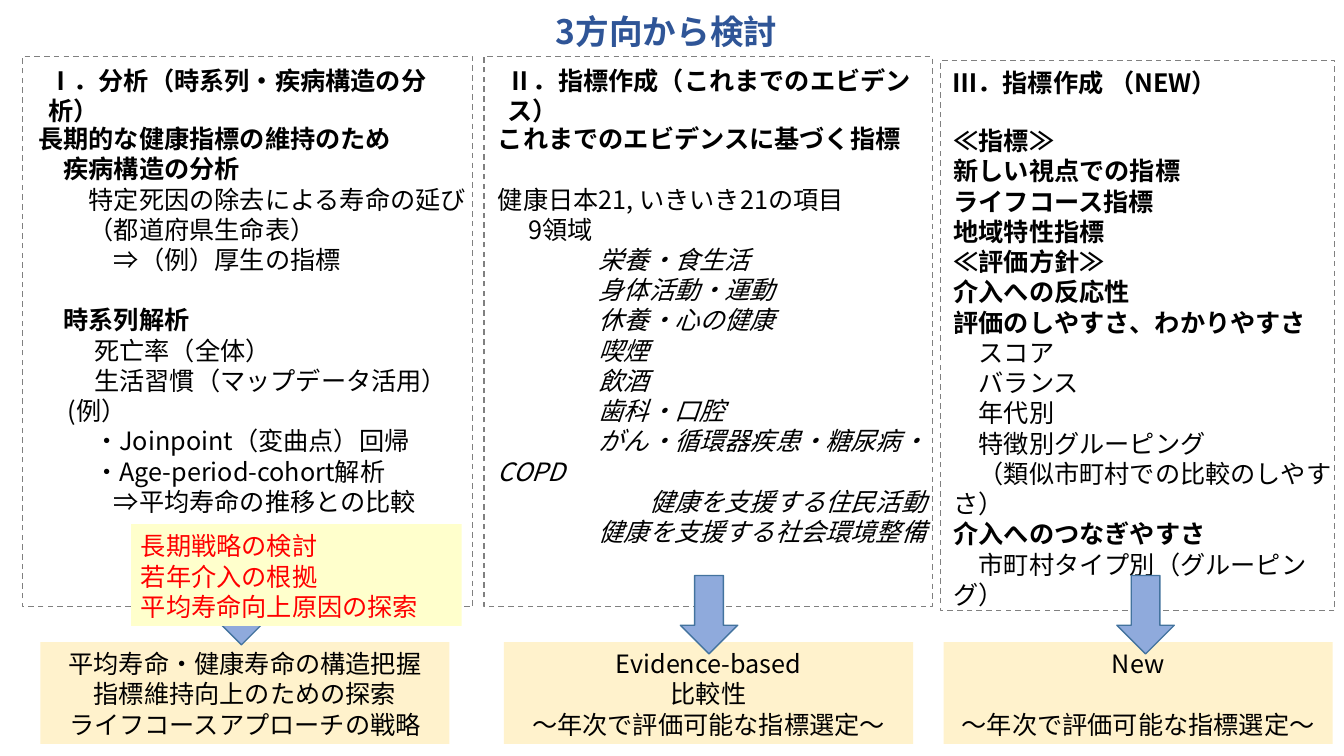
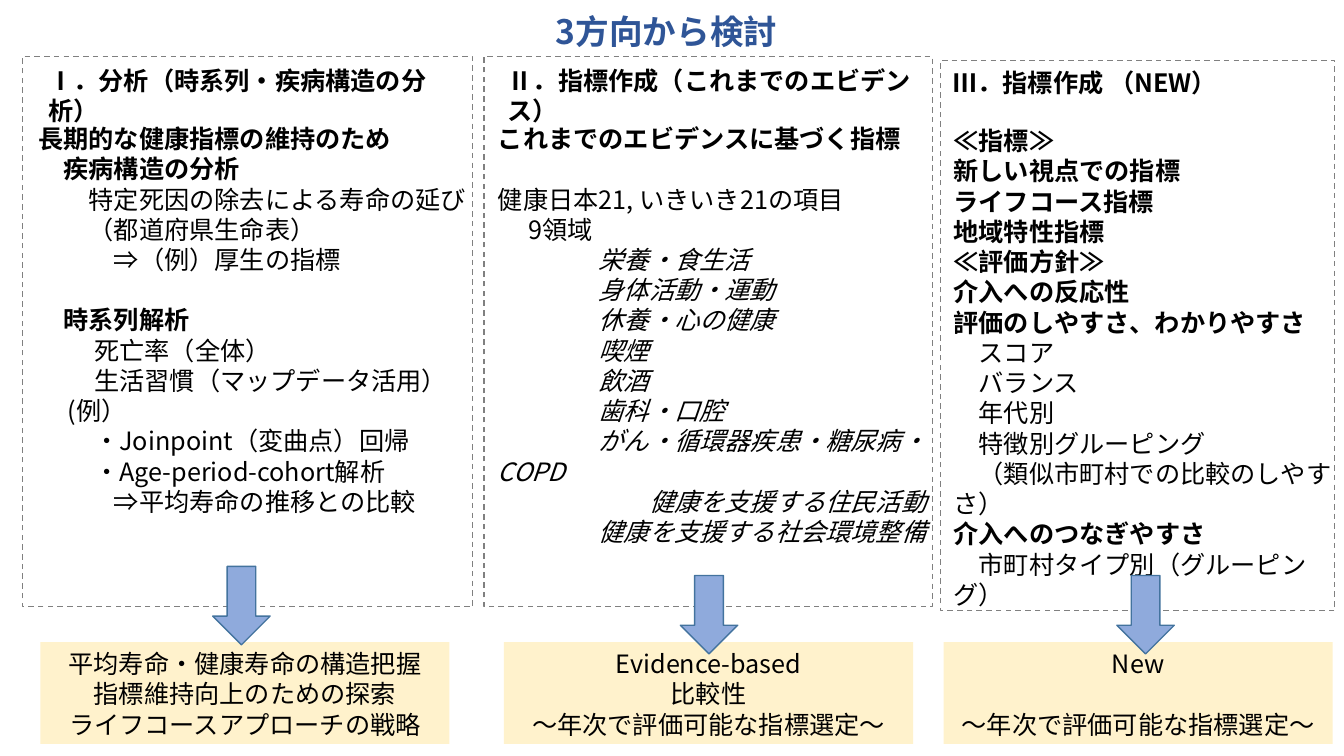
from dataclasses import dataclass

from lxml import etree
from pptx import Presentation
from pptx.dml.color import RGBColor
from pptx.enum import dml, shapes, text
from pptx.oxml import ns
from pptx.util import Pt

FONT = "Noto Sans CJK JP"
BLACK, RED, NAVY = "000000", "FF0000", "2F5597"
CARD, NOTE, DASH = "FFF2CC", "FFFFCC", "808080"
ARROW, ARROW_EDGE = "8FAADC", "43739E"
SIZE, TITLE_SIZE, LEADING = 18, 24, 1.2
LINE = SIZE * LEADING
CARD_TOP, CARD_H = 458.6, 72.7
ARROW_W, ARROW_H = 41, 56


@dataclass
class Line:
    text: str
    indent: float = 0
    bold: bool = False
    italic: bool = False
    gap: float = 0


@dataclass
class Column:
    box: tuple       # left, top, width, height
    heading: str
    heading_at: tuple  # dx, dy, width
    body: list
    body_at: tuple   # dx, dy, width
    card: list
    card_at: tuple   # dx, width
    arrow_at: tuple  # dx, dy


def bold(label, indent=0, gap=0):
    return Line(label, indent, bold=True, gap=gap)


def italic(label, indent=72):
    return Line(label, indent, italic=True)


COLUMNS = [
    Column(
        (16, 40.3, 321.8, 393),
        "Ⅰ．分析（時系列・疾病構造の分析）", (11.4, 1.5, 298),
        [
            bold("長期的な健康指標の維持のため"),
            bold("疾病構造の分析", 18),
            Line("特定死因の除去による寿命の延び", 36),
            Line("（都道府県生命表）", 36),
            Line("⇒（例）厚生の指標", 54),
            bold("時系列解析", 18, LINE),
            Line("死亡率（全体）", 40),
            Line("生活習慣（マップデータ活用）", 40),
            Line("(例）", 21),
            Line("・Joinpoint（変曲点）回帰", 40),
            Line("・Age-period-cohort解析", 40),
            Line("⇒平均寿命の推移との比較", 54),
        ], (4.2, 43.2, 324.7),
        [Line("平均寿命・健康寿命の構造把握"), Line("指標維持向上のための探索"),
         Line("ライフコースアプローチの戦略")], (12.8, 292.3),
        (136, 364.3)),
    Column(
        (345.6, 40.3, 320.4, 393),
        "Ⅱ．指標作成（これまでのエビデンス）", (10, 1.5, 308),
        [
            bold("これまでのエビデンスに基づく指標"),
            Line("健康日本21, いきいき21の項目", gap=LINE),
            Line("9領域", 22),
            *map(italic, ["栄養・食生活", "身体活動・運動", "休養・心の健康",
                          "喫煙", "飲酒", "歯科・口腔",
                          "がん・循環器疾患・糖尿病・COPD"]),
            italic("健康を支援する住民活動", 108),
            italic("健康を支援する社会環境整備"),
        ], (2.9, 43.2, 324.7),
        [Line("Evidence-based"), Line("比較性"),
         Line("～年次で評価可能な指標選定～")], (14.4, 292.3),
        (140.4, 370.8)),
    Column(
        (671.8, 43.2, 281.5, 393),
        "Ⅲ．指標作成 （NEW）", (1.4, 0, 287.3),
        [
            *map(bold, ["≪指標≫", "新しい視点での指標", "ライフコース指標",
                        "地域特性指標", "≪評価方針≫", "介入への反応性",
                        "評価のしやすさ、わかりやすさ"]),
            *[Line(label, 18) for label in
              ["スコア", "バランス", "年代別", "特徴別グルーピング",
               "（類似市町村での比較のしやすさ）"]],
            bold("介入へのつなぎやすさ"),
            Line("市町村タイプ別（グルーピング）", 18),
        ], (2.2, 41.8, 298),
        [Line("New"), Line("～年次で評価可能な指標選定～", gap=LINE)], (2.2, 278),
        (126, 367.9)),
]
NOTES = [Line("長期戦略の検討"), Line("若年介入の根拠"), Line("平均寿命向上原因の探索")]


def rgb(value):
    return RGBColor.from_string(value)


def write(sp, lines, color=BLACK, size=SIZE, align=text.PP_ALIGN.LEFT):
    tf = sp.text_frame
    tf.word_wrap = True
    tf.vertical_anchor = text.MSO_ANCHOR.TOP
    tf.margin_left = tf.margin_right = Pt(7.2)
    tf.margin_top = tf.margin_bottom = Pt(4.6)
    for i, line in enumerate(lines):
        p = tf.add_paragraph() if i else tf.paragraphs[0]
        p.alignment = align
        p.line_spacing = Pt(size * LEADING)
        p.space_before = Pt(line.gap)
        pPr = p._p.get_or_add_pPr()
        pPr.set("marL", "0")
        pPr.set("indent", str(Pt(line.indent)))
        r = p.add_run()
        r.text = line.text
        r.font.size = Pt(size)
        r.font.bold, r.font.italic = line.bold, line.italic
        r.font.color.rgb = rgb(color)
        r.font.name = FONT
        ea = etree.SubElement(r._r.get_or_add_rPr(), ns.qn("a:ea"))
        ea.set("typeface", FONT)


def add_text(s, x, y, w, h, lines, **style):
    sp = s.shapes.add_textbox(Pt(x), Pt(y), Pt(w), Pt(h))
    write(sp, lines, **style)


def add_box(s, x, y, w, h, fill=None, line=None, kind=shapes.MSO_SHAPE.RECTANGLE):
    sp = s.shapes.add_shape(kind, Pt(x), Pt(y), Pt(w), Pt(h))
    sp.shadow.inherit = False
    if fill:
        sp.fill.solid()
        sp.fill.fore_color.rgb = rgb(fill)
    else:
        sp.fill.background()
    if line:
        sp.line.color.rgb = rgb(line)
        sp.line.width = Pt(1)
    else:
        sp.line.fill.background()
    return sp


def add_column(s, col):
    x, y, w, h = col.box
    # Dashed frame
    frame = add_box(s, x, y, w, h, line=DASH)
    frame.line.dash_style = dml.MSO_LINE.DASH
    # Heading and body
    dx, dy, width = col.heading_at
    add_text(s, x + dx, y + dy, width, 29, [bold(col.heading)])
    dx, dy, width = col.body_at
    add_text(s, x + dx, y + dy, width, 334, col.body)
    # Result card and the arrow to it
    dx, width = col.card_at
    card = add_box(s, x + dx, CARD_TOP, width, CARD_H, fill=CARD)
    write(card, col.card, align=text.PP_ALIGN.CENTER)
    dx, dy = col.arrow_at
    add_box(s, x + dx, y + dy, ARROW_W, ARROW_H, ARROW, ARROW_EDGE,
            shapes.MSO_SHAPE.DOWN_ARROW)


def add_note(s, box):
    x, y = box[:2]
    note = add_box(s, x + 77.6, y + 334.1, 236.2, CARD_H, fill=NOTE)
    write(note, NOTES, color=RED)


def add_directions_slide(prs, with_note):
    s = prs.slides.add_slide(prs.slide_layouts[6])
    for col in COLUMNS:
        add_column(s, col)
    add_text(s, 66.2, 2.9, 820, 36, [bold("3方向から検討")], color=NAVY,
             size=TITLE_SIZE, align=text.PP_ALIGN.CENTER)
    if with_note:
        add_note(s, COLUMNS[0].box)


def main():
    prs = Presentation()
    prs.slide_width, prs.slide_height = Pt(960), Pt(540)
    for with_note in (True, False):
        add_directions_slide(prs, with_note)
    prs.save("out.pptx")


if __name__ == "__main__":
    main()
